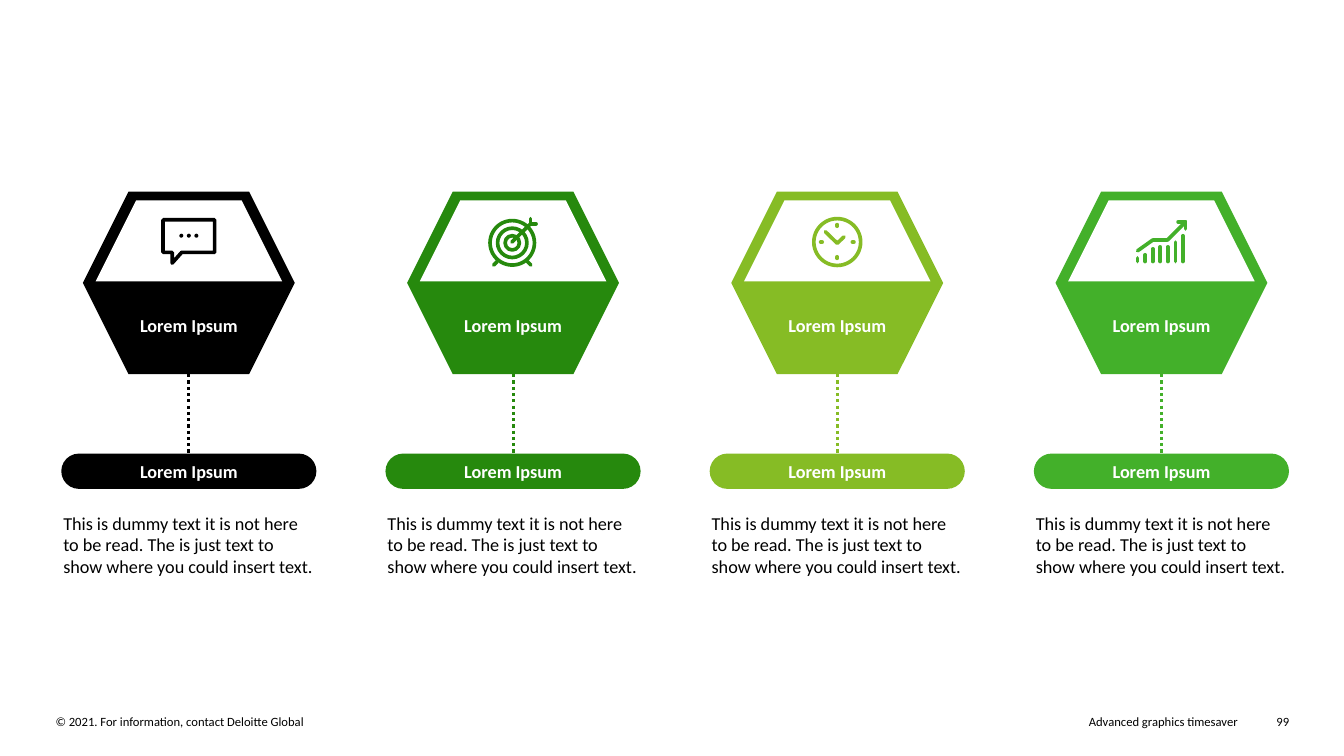
from lxml.etree import SubElement
from pptx import Presentation
from pptx.dml.color import RGBColor
from pptx.enum.dml import MSO_LINE
from pptx.enum.shapes import MSO_CONNECTOR, MSO_SHAPE
from pptx.enum.text import MSO_ANCHOR, PP_ALIGN
from pptx.oxml.ns import qn
from pptx.util import Cm, Pt

TITLE = "Lorem Ipsum"
BODY = ("This is dummy text it is not here to be read. "
        "The is just text to show where you could insert text.")
FOOTER = [
    ("© 2021. For information, contact Deloitte Global", 1.4, 14.88, PP_ALIGN.LEFT),
    ("Advanced graphics timesaver", 17.6, 13.59, PP_ALIGN.RIGHT),
    ("99", 31.62, 0.87, PP_ALIGN.RIGHT),
]
THEME = {
    "font": "Calibri", "text": 13, "small": 9, "icon": 2.6, "dash": 2.25,
    "dark": "000000", "light": "FFFFFF",
    "cols": ["000000", "26890D", "86BC25", "43B02A"],
}
BAR_TOPS = [6.5, 6.42, 6.27, 6.22, 6.22, 6.1, 5.94]
ICONS = [
    {"paths": [[(-0.65, 5.54), (0.65, 5.54), (0.65, 6.36), (-0.18, 6.36),
                (-0.42, 6.63), (-0.42, 6.36), (-0.65, 6.36), (-0.65, 5.54)]],
     "dots": [(x, 5.94, 0.05) for x in (-0.19, 0, 0.19)]},
    {"rings": [(-0.02, 6.12, r) for r in (0.56, 0.37, 0.18)],
     "paths": [[(-0.03, 6.1), (0.44, 5.64)],
               [(0.44, 5.51), (0.44, 5.64), (0.58, 5.64)],
               [(-0.49, 6.68), (-0.4, 6.59)], [(0.45, 6.68), (0.36, 6.59)]]},
    {"rings": [(0, 6.1, 0.59)],
     "paths": [[(-0.3, 5.84), (0, 6.13), (0.17, 5.97)],
               [(0, 5.66), (0, 5.7)], [(0, 6.47), (0, 6.51)],
               [(-0.42, 6.1), (-0.38, 6.1)], [(0.38, 6.1), (0.42, 6.1)]]},
    {"paths": [[(-0.6 + 0.19 * i, 6.59), (-0.6 + 0.19 * i, top)]
               for i, top in enumerate(BAR_TOPS)]
     + [[(-0.6, 6.32), (-0.22, 6.05), (0.15, 6.05), (0.61, 5.59)],
        [(0.42, 5.59), (0.61, 5.59), (0.61, 5.77)]]},
]
FIRST, PITCH = 4.76, 8.17
HEX_W, HEX_TOP, HEX_H = 5.34, 4.83, 4.6
PILL_W, PILL_TOP, PILL_H = 6.43, 11.43, 0.89
WINDOW = [(-1.33, 5.05), (1.33, 5.05), (2.35, 7.09), (-2.35, 7.09)]

deck = Presentation()
deck.slide_width, deck.slide_height = Cm(33.87), Cm(19.05)
slide = deck.slides.add_slide(deck.slide_layouts[6])
shapes = slide.shapes


def tint(hue):
    return RGBColor.from_string(hue)


def write(shape, text, size=THEME["text"], hue=THEME["dark"], bold=False,
          align=PP_ALIGN.LEFT, anchor=MSO_ANCHOR.TOP, pads=None):
    frame = shape.text_frame
    frame.word_wrap = True
    frame.vertical_anchor = anchor
    if pads:
        frame.margin_left = frame.margin_right = Cm(pads[0])
        frame.margin_top = frame.margin_bottom = Cm(pads[1])
    line = frame.paragraphs[0]
    line.alignment = align
    run = line.add_run()
    run.text = text
    font = run.font
    font.name, font.size, font.bold = THEME["font"], Pt(size), bold
    font.color.rgb = tint(hue)


def box(text, left, top, width, height, pads=(0, 0), **style):
    area = shapes.add_textbox(Cm(left), Cm(top), Cm(width), Cm(height))
    write(area, text, pads=pads, **style)


def paint(shape, hue):
    shape.shadow.inherit = False
    shape.fill.solid()
    shape.fill.fore_color.rgb = tint(hue)
    shape.line.fill.background()


def block(kind, left, top, width, height, hue):
    shape = shapes.add_shape(kind, Cm(left), Cm(top), Cm(width), Cm(height))
    paint(shape, hue)
    return shape


def outline(points, mid, close):
    spots = [(Cm(mid + x), Cm(y)) for x, y in points]
    maker = shapes.build_freeform(*spots[0])
    maker.add_line_segments(spots[1:], close=close)
    return maker.convert_to_shape()


def link(start, end, mid):
    line = shapes.add_connector(MSO_CONNECTOR.STRAIGHT, Cm(mid + start[0]),
                                Cm(start[1]), Cm(mid + end[0]), Cm(end[1]))
    SubElement(line._element.spPr, qn("a:effectLst"))
    return line


def pen(shape, hue):
    shape.line.color.rgb = tint(hue)
    shape.line.width = Pt(THEME["icon"])
    edge = shape.line._get_or_add_ln()
    edge.set("cap", "rnd")
    SubElement(edge, qn("a:round"))


def stroke(points, mid, hue):
    if len(points) == 2:
        shape = link(*points, mid)
    else:
        shape = outline(points, mid, points[0] == points[-1])
        shape.shadow.inherit = False
        shape.fill.background()
    pen(shape, hue)


def disc(spot, mid, hue):
    x, y, r = spot
    return block(MSO_SHAPE.OVAL, mid + x - r, y - r, 2 * r, 2 * r, hue)


def draw(icon, mid, hue):
    for ring in icon.get("rings", []):
        shape = disc(ring, mid, hue)
        shape.fill.background()
        pen(shape, hue)
    for points in icon["paths"]:
        stroke(points, mid, hue)
    for dot in icon.get("dots", []):
        disc(dot, mid, hue)


def column(mid, hue, icon):
    label = {"hue": THEME["light"], "bold": True, "align": PP_ALIGN.CENTER}
    left = mid - PILL_W / 2
    badge = block(MSO_SHAPE.HEXAGON, mid - HEX_W / 2, HEX_TOP, HEX_W, HEX_H, hue)
    write(badge, TITLE, anchor=MSO_ANCHOR.BOTTOM, pads=(0.25, 0.25), **label)
    paint(outline(WINDOW, mid, True), THEME["light"])
    draw(icon, mid, hue)
    stem = link((0, HEX_TOP + HEX_H), (0, PILL_TOP), mid)
    stem.line.color.rgb = tint(hue)
    stem.line.width = Pt(THEME["dash"])
    stem.line.dash_style = MSO_LINE.ROUND_DOT
    box(BODY, left, 12.9, PILL_W, 1.68, pads=(0.05, 0))
    pill = block(MSO_SHAPE.ROUNDED_RECTANGLE, left, PILL_TOP, PILL_W, PILL_H, hue)
    pill.adjustments[0] = 0.5
    write(pill, TITLE, anchor=MSO_ANCHOR.MIDDLE, **label)


for text, left, width, align in FOOTER:
    box(text, left, 17.98, width, 0.38, size=THEME["small"], align=align)
for i, (hue, icon) in enumerate(zip(THEME["cols"], ICONS)):
    column(FIRST + PITCH * i, hue, icon)

deck.save("out.pptx")
